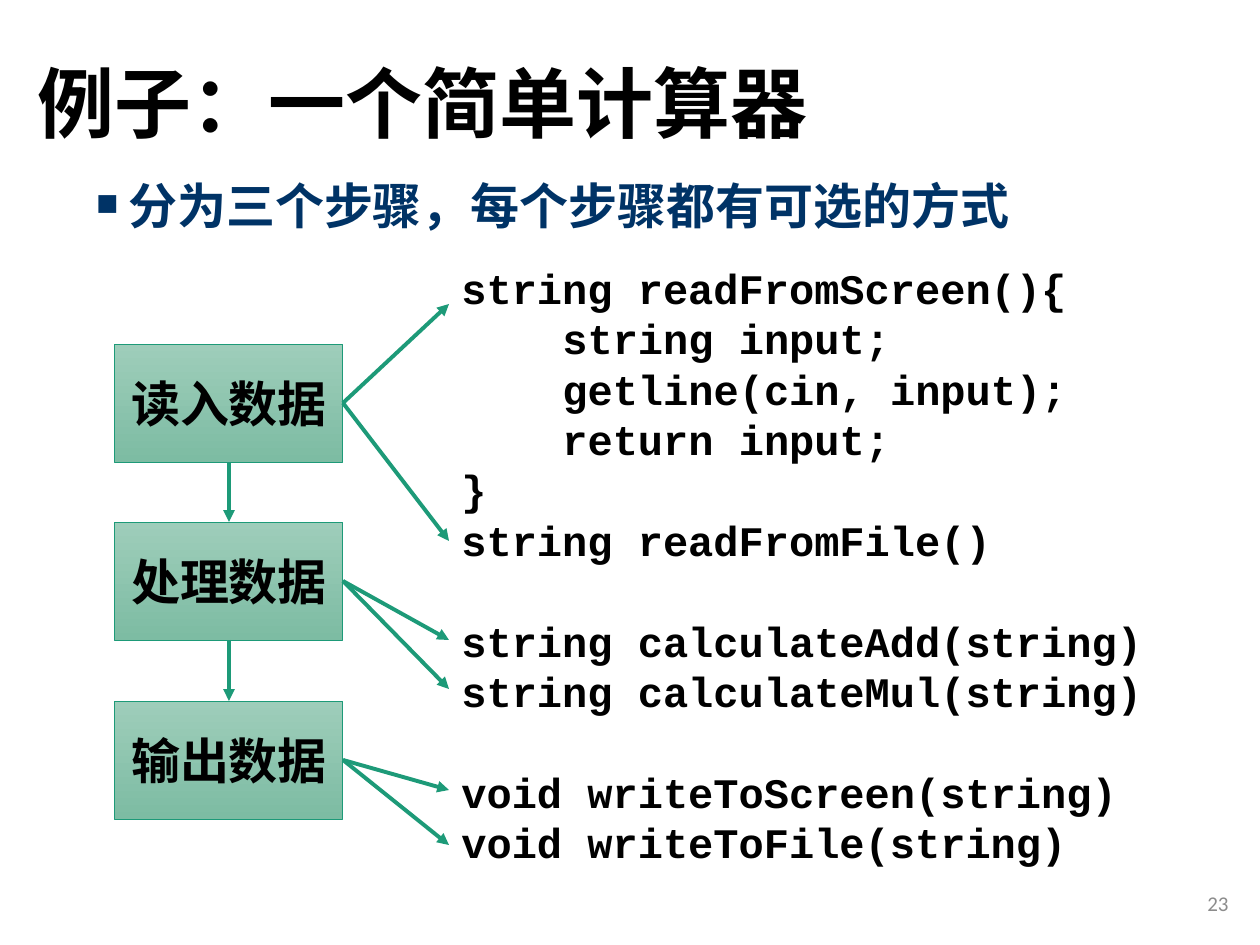
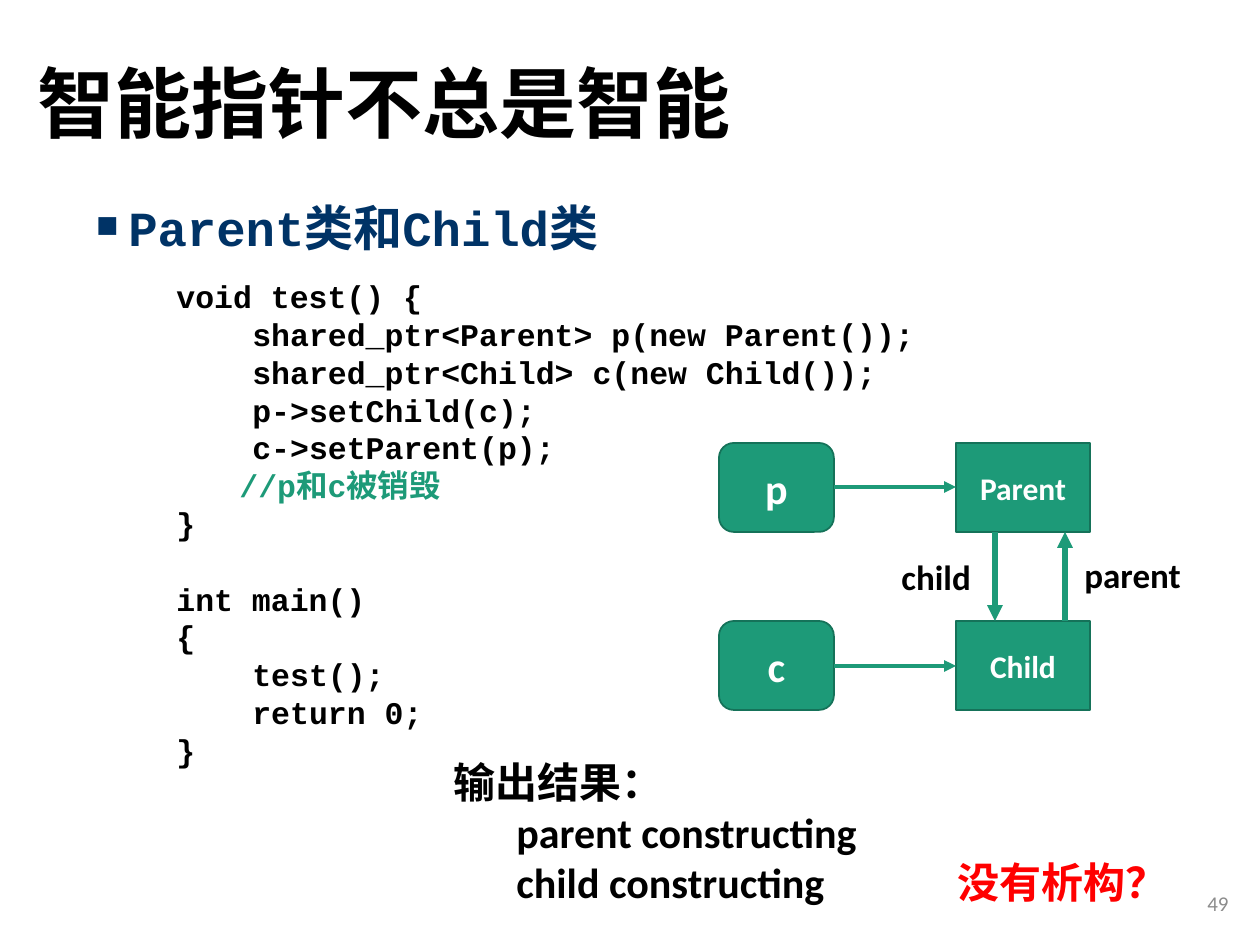
"""Build two lecture slides: a three-step calculator and a smart-pointer cycle."""
from lxml import etree
from pptx import Presentation
from pptx.dml.color import RGBColor
from pptx.enum.shapes import MSO_CONNECTOR, MSO_SHAPE
from pptx.enum.text import MSO_ANCHOR, MSO_AUTO_SIZE, PP_ALIGN
from pptx.oxml.ns import qn
from pptx.util import Pt

LEFT, CENTER, RIGHT = PP_ALIGN.LEFT, PP_ALIGN.CENTER, PP_ALIGN.RIGHT
TOP, MIDDLE = MSO_ANCHOR.TOP, MSO_ANCHOR.MIDDLE
RECT, ROUNDED = MSO_SHAPE.RECTANGLE, MSO_SHAPE.ROUNDED_RECTANGLE
STRAIGHT, NO_FIT = MSO_CONNECTOR.STRAIGHT, MSO_AUTO_SIZE.NONE
PX = 914400 / 126
BLACK, WHITE, GREY, RED = "000000", "FFFFFF", "8C8C8C", "FF0000"
NAVY, GREEN, DARK_GREEN = "003366", "1D9A78", "157259"
STEP_TOP, STEP_BOTTOM = "9ECDBA", "7DBCA3"
SANS, MONO, HAN = "Calibri", "Courier New", "Noto Sans CJK SC"
color = RGBColor.from_string


def px(*lengths):
    return [round(length * PX) for length in lengths]


def write(frame, lines, size, font, align=LEFT, anchor=TOP, bold=True, wrap=True):
    frame.word_wrap, frame.auto_size, frame.vertical_anchor = wrap, NO_FIT, anchor
    for number, (indent, gap, runs) in enumerate(lines):
        paragraph = frame.add_paragraph() if number else frame.paragraphs[0]
        paragraph.alignment = align
        if indent:
            paragraph._p.get_or_add_pPr().set("marL", str(px(indent)[0]))
        if gap:
            paragraph.space_before = Pt(gap)
        for text, hue in runs:
            run = paragraph.add_run()
            run.text = text
            run.font.size, run.font.bold, run.font.name = Pt(size), bold, font
            run.font.color.rgb = color(hue)
            run.font._element.find(qn("a:latin")).addnext(
                etree.Element(qn("a:ea"), typeface=HAN))


deck = Presentation()
deck.slide_width, deck.slide_height = px(1260, 945)

pages = []
for heading, point, point_top, page_number in [
    ("例子：一个简单计算器", "分为三个步骤，每个步骤都有可选的方式", 176, "23"),
    ("智能指针不总是智能", "Parent类和Child类", 198, "49"),
]:
    page = deck.slides.add_slide(deck.slide_layouts[5])
    title = page.shapes.title
    title.left, title.top, title.width, title.height = px(25, 16, 1086, 183)
    write(title.text_frame, [(0, 0, [(heading, BLACK)])], 44, HAN, anchor=MIDDLE)
    title.text_frame.paragraphs[0].line_spacing = 0.9

    body = page.shapes.add_textbox(*px(84, point_top, 1119, 654)).text_frame
    write(body, [(32, 10, [(point, NAVY)])], 28, MONO)
    bullet = body.paragraphs[0]
    bullet.line_spacing = 0.9
    bullet_format = bullet._p.get_or_add_pPr()
    bullet_format.set("indent", str(px(-32)[0]))
    etree.SubElement(bullet_format, qn("a:buSzPct"), val="75000")
    etree.SubElement(bullet_format, qn("a:buFont"), typeface=MONO)
    etree.SubElement(bullet_format, qn("a:buChar"), char="■")

    footer = page.shapes.add_textbox(*px(958, 878, 283, 50)).text_frame
    write(footer, [(0, 0, [(page_number, GREY)])], 12, SANS, RIGHT, MIDDLE, bold=False)
    pages.append(page)
calculator, pointers = pages

step_left, step_width, step_height = 115, 228, 118
step_tops = [344, 522, 701]
step_right, step_middle = step_left + step_width, step_left + step_width // 2
for step, top in zip(["读入数据", "处理数据", "输出数据"], step_tops):
    box = calculator.shapes.add_shape(RECT, *px(step_left, top, step_width, step_height))
    box.shadow.inherit = False
    box.fill.gradient()
    box.fill.gradient_angle = 270
    for stop, hue in zip(box.fill.gradient_stops, [STEP_TOP, STEP_BOTTOM]):
        stop.color.rgb = color(hue)
    box.line.color.rgb, box.line.width = color(GREEN), Pt(0.5)
    write(box.text_frame, [(0, 0, [(step, BLACK)])], 28, SANS, CENTER, MIDDLE)

functions = [
    (0, 0, "string readFromScreen(){"),
    (101, 0, "string input;"),
    (101, 0, "getline(cin, input);"),
    (101, 0, "return input;"),
    (0, 0, "}"),
    (0, 0, "string readFromFile()"),
    (0, 28.8, "string calculateAdd(string)"),
    (0, 0, "string calculateMul(string)"),
    (0, 28.8, "void writeToScreen(string)"),
    (0, 0, "void writeToFile(string)"),
]
listing = calculator.shapes.add_textbox(*px(449, 256, 753, 624)).text_frame
write(listing, [(indent, gap, [(code, BLACK)]) for indent, gap, code in functions], 24, MONO)

test_code = [
    (0, 0, "void test() {", BLACK),
    (76, 0, "shared_ptr<Parent> p(new Parent());", BLACK),
    (76, 0, "shared_ptr<Child> c(new Child());", BLACK),
    (76, 0, "p->setChild(c);", BLACK),
    (76, 0, "c->setParent(p);", BLACK),
    (63, 0, "//p和c被销毁", GREEN),
    (0, 0, "}", BLACK),
    (0, 21.6, "int main()", BLACK),
    (0, 0, "{", BLACK),
    (76, 0, "test();", BLACK),
    (76, 0, "return 0;", BLACK),
    (0, 0, "}", BLACK),
]
listing = pointers.shapes.add_textbox(*px(164, 271, 883, 509)).text_frame
write(listing, [(indent, gap, [(code, hue)]) for indent, gap, code, hue in test_code], 18, MONO)

output = pointers.shapes.add_textbox(*px(441, 750, 746, 165)).text_frame
write(output, [
    (0, 0, [("输出结果：", BLACK)]),
    (0, 0, [("\tparent constructing", BLACK)]),
    (0, 0, [("\tchild constructing\t", BLACK), ("没有析构？", RED)]),
], 24, SANS)
for paragraph in output.paragraphs[1:]:
    tab_stops = etree.SubElement(paragraph._p.get_or_add_pPr(), qn("a:tabLst"))
    for position in px(63, 504):
        etree.SubElement(tab_stops, qn("a:tab"), pos=str(position), algn="l")

for outline, left, width, size, names in [
    (RECT, 956, 134, 18, ["Parent", "Child"]),
    (ROUNDED, 719, 115, 24, ["p", "c"]),
]:
    for name, top in zip(names, [443, 621]):
        node = pointers.shapes.add_shape(outline, *px(left, top, width, 89))
        node.shadow.inherit = False
        node.fill.solid()
        node.fill.fore_color.rgb = color(GREEN)
        node.line.color.rgb, node.line.width = color(DARK_GREEN), Pt(1)
        write(node.text_frame, [(0, 0, [(name, WHITE)])], size, SANS, CENTER, MIDDLE)

for member, left, top, width in [("parent", 1072, 547, 122), ("child", 889, 549, 95)]:
    label = pointers.shapes.add_textbox(*px(left, top, width, 55)).text_frame
    write(label, [(0, 0, [(member, BLACK)])], 20, SANS, wrap=False)

arrows = [(calculator, 2.25, step_middle, top + step_height, step_middle, following)
          for top, following in zip(step_tops, step_tops[1:])]
for top, targets in zip(step_tops, [(304, 541), (640, 689), (790, 845)]):
    arrows += [(calculator, 2.25, step_right, top + step_height // 2, 449, target)
               for target in targets]
arrows += [(pointers, 2.25, 834, y, 956, y) for y in (487, 666)]
arrows += [(pointers, 3, 995, 532, 995, 621), (pointers, 3, 1065, 621, 1065, 532)]
for page, weight, *ends in arrows:
    arrow = page.shapes.add_connector(STRAIGHT, *px(*ends))
    arrow.line.color.rgb, arrow.line.width = color(GREEN), Pt(weight)
    etree.SubElement(arrow.line._get_or_add_ln(), qn("a:tailEnd"), type="triangle")
    etree.SubElement(arrow._element.spPr, qn("a:effectLst"))

deck.save("out.pptx")
